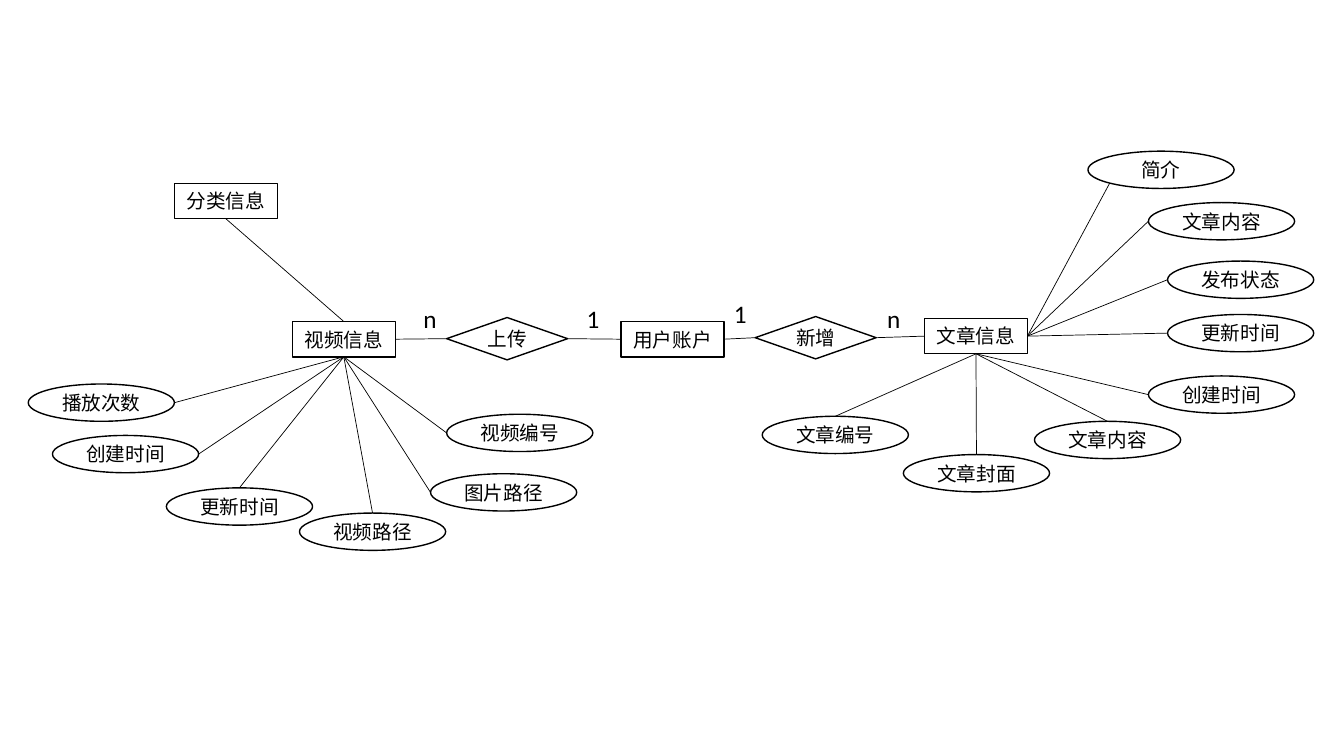
"""Draw an entity-relationship diagram of videos, user accounts and articles."""
import pptx
import pptx.dml.color
import pptx.enum.shapes
import pptx.enum.text
import pptx.oxml.ns
import pptx.util
from lxml import etree

SLIDE_SIZE = (13.33, 7.5)
INK = "000000"
TYPEFACE = "Calibri"
OUTLINE, LINK = 1, 0.5
NAME_SIZE, CARDINALITY_SIZE = 14, 18

ENTITY, RELATION, ATTRIBUTE = (1.02, 0.35), (1.2, 0.42), (1.45, 0.37)
CARDINALITIES_BOX = {"1": (0.44, 0.4), "n": (0.33, 0.4)}
KINDS = {
    ENTITY: pptx.enum.shapes.MSO_SHAPE.RECTANGLE,
    RELATION: pptx.enum.shapes.MSO_SHAPE.DIAMOND,
    ATTRIBUTE: pptx.enum.shapes.MSO_SHAPE.OVAL,
}
SIDES = {
    "top": (0.5, 0), "bottom": (0.5, 1), "left": (0, 0.5), "right": (1, 0.5),
    "lower left": (0.15, 0.85),
}

ENTITIES = {
    "分类信息": (1.73, 1.82),
    "视频信息": (2.9, 3.19),
    "用户账户": (6.16, 3.19),
    "文章信息": (9.17, 3.16),
}
RELATIONS = {"上传": (4.43, 3.15), "新增": (7.49, 3.14)}
ENTITY_LINKS = [
    ("视频信息", "top", "分类信息", "bottom"),
    ("视频信息", "right", "上传", "left"),
    ("上传", "right", "用户账户", "left"),
    ("用户账户", "right", "新增", "left"),
    ("新增", "right", "文章信息", "left"),
]
ATTRIBUTES = {
    ("视频信息", "bottom"): [
        ("播放次数", (0.28, 3.81), "right"),
        ("创建时间", (0.52, 4.32), "right"),
        ("更新时间", (1.65, 4.84), "top"),
        ("视频路径", (2.97, 5.09), "top"),
        ("图片路径", (4.27, 4.7), "left"),
        ("视频编号", (4.43, 4.11), "left"),
    ],
    ("文章信息", "bottom"): [
        ("文章编号", (7.56, 4.13), "top"),
        ("文章封面", (8.96, 4.51), "top"),
        ("文章内容", (10.26, 4.18), "top"),
        ("创建时间", (11.39, 3.73), "left"),
    ],
    ("文章信息", "right"): [
        ("更新时间", (11.58, 3.12), "left"),
        ("发布状态", (11.58, 2.59), "left"),
        ("文章内容", (11.39, 2.01), "left"),
        ("简介", (10.79, 1.5), "lower left"),
    ],
}
CARDINALITIES = [
    ("n", (4.1, 2.96)), ("1", (5.72, 2.96)), ("1", (7.18, 2.91)), ("n", (8.7, 2.96)),
]


def color(value):
    return pptx.dml.color.RGBColor.from_string(value)


def inches(*lengths):
    return [pptx.util.Inches(length) for length in lengths]


def write(frame, wording, size, **paragraph_format):
    paragraph = frame.paragraphs[0]
    for attribute, value in paragraph_format.items():
        setattr(paragraph, attribute, value)
    run = paragraph.add_run()
    run.text = wording
    for attribute, value in {"name": TYPEFACE, "size": pptx.util.Pt(size)}.items():
        setattr(run.font, attribute, value)
    run.font.color.rgb = color(INK)


def stroke(line, width):
    line.color.rgb = color(INK)
    line.width = pptx.util.Pt(width)


def add_node(slide, wording, corner, size):
    node = slide.shapes.add_shape(KINDS[size], *inches(*corner, *size))
    node.shadow.inherit = False
    node.fill.background()
    stroke(node.line, OUTLINE)
    frame = node.text_frame
    layout = {
        "margin_left": 0, "margin_right": 0, "margin_top": 0, "margin_bottom": 0,
        "word_wrap": True, "vertical_anchor": pptx.enum.text.MSO_ANCHOR.MIDDLE,
    }
    for attribute, value in layout.items():
        setattr(frame, attribute, value)
    write(frame, wording, NAME_SIZE, alignment=pptx.enum.text.PP_ALIGN.CENTER)
    return node


def side_point(node, side):
    across, down = SIDES[side]
    return round(node.left + across * node.width), round(node.top + down * node.height)


def add_link(slide, start, start_side, end, end_side):
    link = slide.shapes.add_connector(
        pptx.enum.shapes.MSO_CONNECTOR.STRAIGHT,
        *side_point(start, start_side), *side_point(end, end_side))
    stroke(link.line, LINK)
    etree.SubElement(link._element.spPr, pptx.oxml.ns.qn("a:effectLst"))


def add_cardinality(slide, wording, corner):
    label = slide.shapes.add_textbox(*inches(*corner, *CARDINALITIES_BOX[wording]))
    label.text_frame.word_wrap = True
    label.text_frame.auto_size = pptx.enum.text.MSO_AUTO_SIZE.SHAPE_TO_FIT_TEXT
    write(label.text_frame, wording, CARDINALITY_SIZE)


def main():
    deck = pptx.Presentation()
    deck.slide_width, deck.slide_height = inches(*SLIDE_SIZE)
    slide = deck.slides.add_slide(deck.slide_layouts[6])
    nodes = {}
    for group, size in ((ENTITIES, ENTITY), (RELATIONS, RELATION)):
        for wording, corner in group.items():
            nodes[wording] = add_node(slide, wording, corner, size)
    for start, start_side, end, end_side in ENTITY_LINKS:
        add_link(slide, nodes[start], start_side, nodes[end], end_side)
    for (owner, owner_side), attributes in ATTRIBUTES.items():
        for wording, corner, side in attributes:
            oval = add_node(slide, wording, corner, ATTRIBUTE)
            add_link(slide, nodes[owner], owner_side, oval, side)
    for wording, corner in CARDINALITIES:
        add_cardinality(slide, wording, corner)
    deck.save("out.pptx")


if __name__ == "__main__":
    main()
